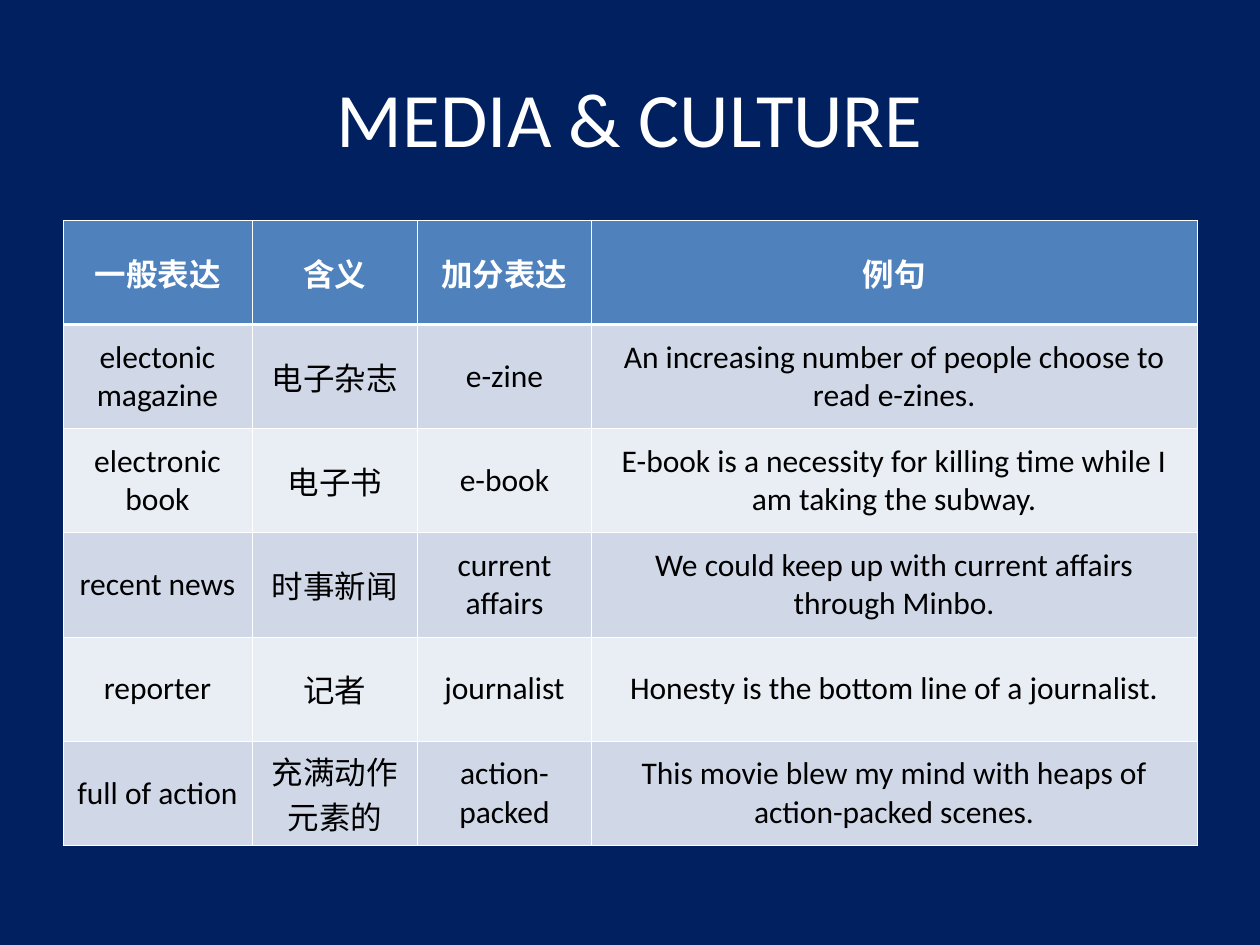
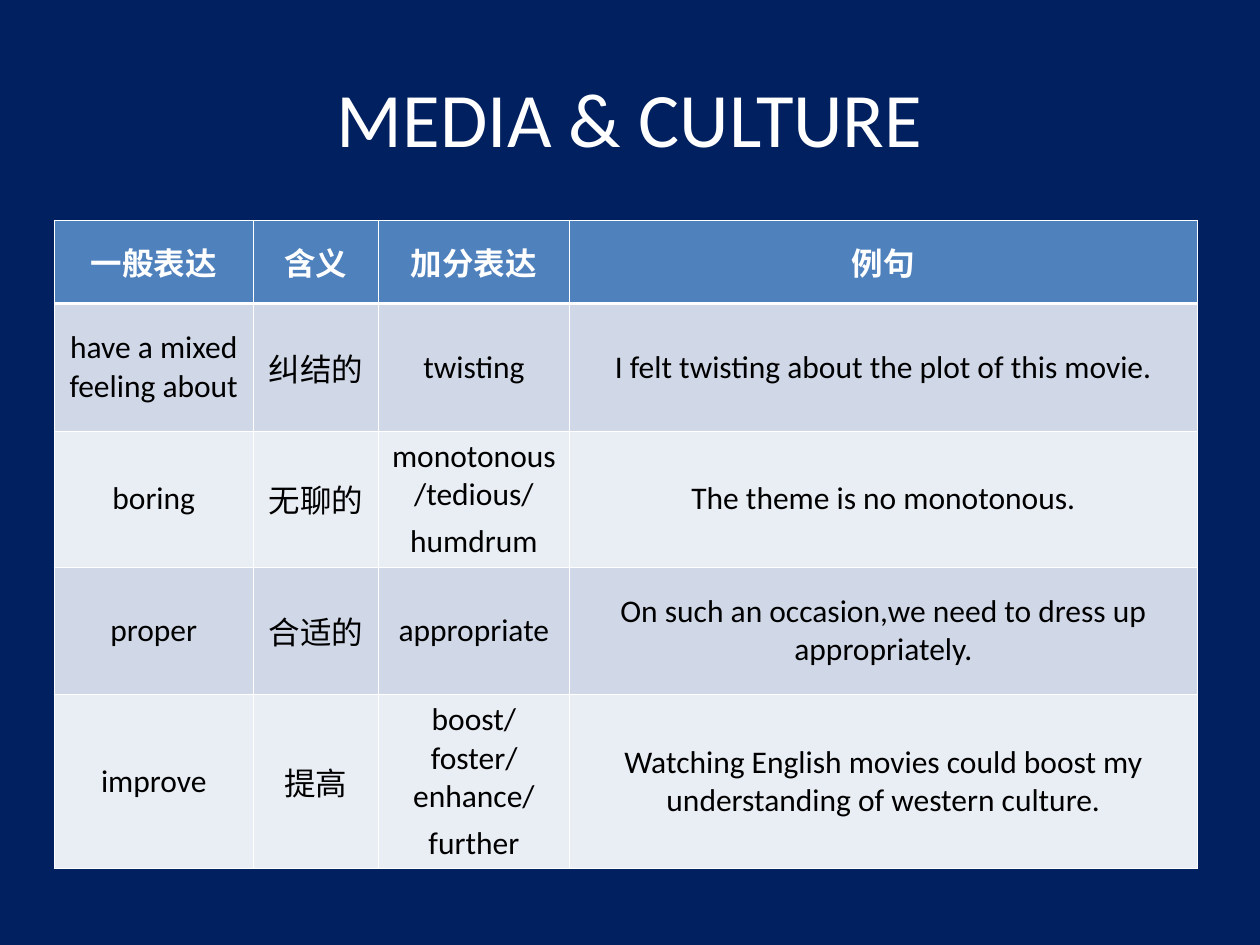
from dataclasses import dataclass

from lxml.etree import SubElement
from pptx import Presentation
from pptx.dml.color import RGBColor as RGB
from pptx.enum.text import MSO_ANCHOR as Anchor, PP_ALIGN as Align
from pptx.oxml.ns import qn
from pptx.util import Cm, Pt


@dataclass(frozen=True)
class Theme:
    font: str = "Calibri"
    background: str = "002060"
    white: str = "FFFFFF"
    text: str = "000000"
    header: str = "4F81BD"
    bands: tuple = ("D0D8E8", "E9EDF4")
    title_size: float = 44
    cell_size: float = 18
    space_before: float = 4.5
    thin: float = 0.45
    thick: float = 1.47


TITLE = "MEDIA & CULTURE"
HEADER = ("一般表达", "含义", "加分表达", "例句")
TABLE_TOP = 4.44

NEWS_WORDS = [
    ("electonic magazine", "电子杂志", "e-zine",
     "An increasing number of people choose to read e-zines."),
    ("electronic book", "电子书", "e-book",
     "E-book is a necessity for killing time while I am taking the subway."),
    ("recent news", "时事新闻", "current affairs",
     "We could keep up with current affairs through Minbo."),
    ("reporter", "记者", "journalist",
     "Honesty is the bottom line of a journalist."),
    ("full of action", "充满动作元素的", "action-packed",
     "This movie blew my mind with heaps of action-packed scenes."),
]

OPINION_WORDS = [
    ("have a mixed feeling about", "纠结的", "twisting",
     "I felt twisting about the plot of this movie."),
    ("boring", "无聊的", "monotonous/tedious/\nhumdrum",
     "The theme is no monotonous."),
    ("proper", "合适的", "appropriate",
     "On such an occasion,we need to dress up appropriately."),
    ("improve", "提高", "boost/foster/enhance/\nfurther",
     "Watching English movies could boost my understanding of western culture."),
]


class Deck:
    def __init__(self, theme):
        self.theme = theme
        self.prs = Presentation()
        self.prs.slide_width, self.prs.slide_height = Cm(25.4), Cm(19.05)
        fill = self.prs.slide_master.background.fill
        fill.solid()
        fill.fore_color.rgb = RGB.from_string(theme.background)
        self.s = None

    def add_slide(self):
        self.s = self.prs.slides.add_slide(self.prs.slide_layouts[5])

    def format_text(self, tf, size, color, bold=False, before=0):
        for p in tf.paragraphs:
            p.alignment = Align.CENTER
            p.space_before = Pt(before)
            for r in p.runs:
                r.font.name = self.theme.font
                r.font.size = Pt(size)
                r.font.bold = bold
                r.font.color.rgb = RGB.from_string(color)

    def add_title(self, text):
        sp = self.s.shapes.title
        sp.left, sp.top, sp.width, sp.height = Cm(1.27), Cm(0.76), Cm(22.86), Cm(3.18)
        tf = sp.text_frame
        tf.text = text
        tf.vertical_anchor = Anchor.MIDDLE
        self.format_text(tf, self.theme.title_size, self.theme.white)

    def add_borders(self, cell, top, bottom):
        thin = self.theme.thin
        tc_pr = cell._tc.get_or_add_tcPr()
        for side, width in zip("LRTB", (thin, thin, top, bottom)):
            ln = SubElement(tc_pr, qn(f"a:ln{side}"), w=str(Pt(width)))
            fill = SubElement(ln, qn("a:solidFill"))
            SubElement(fill, qn("a:srgbClr"), val=self.theme.white)

    def add_cell(self, cell, text, row):
        t = self.theme
        is_header = row == 0
        cell.text = text
        cell.vertical_anchor = Anchor.MIDDLE
        self.format_text(cell.text_frame, t.cell_size,
                         t.white if is_header else t.text, is_header, t.space_before)
        self.add_borders(cell, t.thick if row == 1 else t.thin,
                         t.thick if is_header else t.thin)
        cell.fill.solid()
        color = t.header if is_header else t.bands[(row - 1) % 2]
        cell.fill.fore_color.rgb = RGB.from_string(color)

    def add_word_table(self, words, left, widths, heights):
        table = self.s.shapes.add_table(
            len(heights), len(widths), Cm(left), Cm(TABLE_TOP),
            Cm(sum(widths)), Cm(sum(heights))).table
        for column, width in zip(table.columns, widths):
            column.width = Cm(width)
        for row, (texts, height) in enumerate(zip([HEADER, *words], heights)):
            table.rows[row].height = Cm(height)
            for col, text in enumerate(texts):
                self.add_cell(table.cell(row, col), text, row)


def main():
    deck = Deck(Theme())
    tables = [
        (NEWS_WORDS, 1.27, (3.81, 3.34, 3.5, 12.21), (2.1,) * 6),
        (OPINION_WORDS, 1.09, (4.02, 2.52, 3.85, 12.66), (1.68, 2.57, 2.72, 2.57, 2.72)),
    ]
    for words, left, widths, heights in tables:
        deck.add_slide()
        deck.add_title(TITLE)
        deck.add_word_table(words, left, widths, heights)
    deck.prs.save("out.pptx")


if __name__ == "__main__":
    main()
